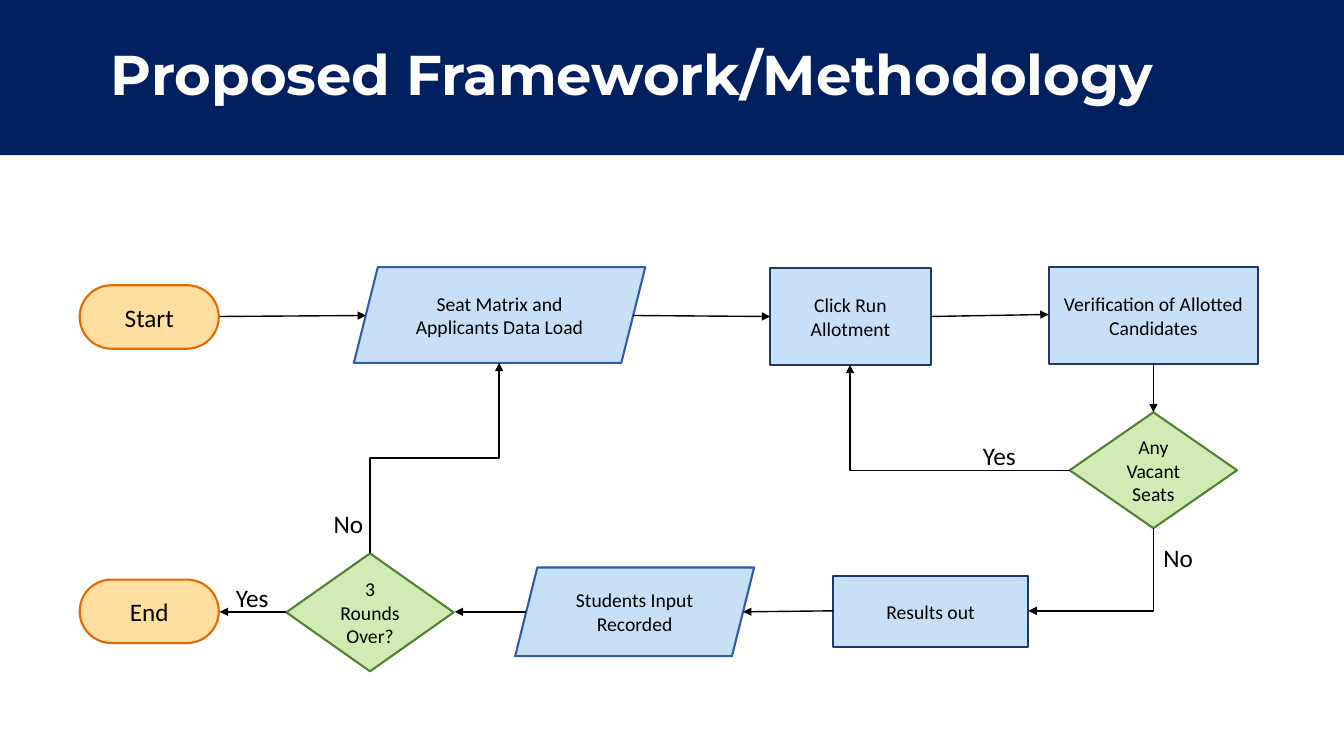
"""Build the slide with the seat allotment flowchart."""
from dataclasses import dataclass
from typing import Optional

from pptx import Presentation
from pptx.dml.color import RGBColor
from pptx.enum.shapes import MSO_CONNECTOR, MSO_SHAPE
from pptx.enum.text import MSO_ANCHOR, MSO_AUTO_SIZE, PP_ALIGN
from pptx.oxml.ns import qn
from pptx.oxml.xmlchemy import OxmlElement
from pptx.slide import Slide
from pptx.util import Inches, Pt

NAVY = RGBColor(0x00, 0x20, 0x60)
WHITE = RGBColor(0xFF, 0xFF, 0xFF)
BLACK = RGBColor(0x00, 0x00, 0x00)
SAND = RGBColor(0xFF, 0xDF, 0x9F)
ORANGE = RGBColor(0xE6, 0x68, 0x00)
SKY = RGBColor(0xC8, 0xDF, 0xF8)
BLUE = RGBColor(0x31, 0x5C, 0xA9)
INDIGO = RGBColor(0x1E, 0x38, 0x68)
LIME = RGBColor(0xD0, 0xEB, 0xB3)
GREEN = RGBColor(0x54, 0x82, 0x35)


@dataclass(frozen=True)
class Kind:
    form: MSO_SHAPE
    fill: RGBColor
    edge: RGBColor
    size: int = 14
    round: Optional[float] = None


@dataclass(frozen=True)
class Node:
    text: str
    kind: Kind
    left: float
    top: float
    width: float
    height: float


@dataclass(frozen=True)
class Arrow:
    x1: float
    y1: float
    x2: float
    y2: float
    bend: str = ""
    turn: int = 0


@dataclass(frozen=True)
class Label:
    text: str
    left: float
    top: float


END = Kind(MSO_SHAPE.ROUNDED_RECTANGLE, SAND, ORANGE, 18, 0.5)
DATA = Kind(MSO_SHAPE.PARALLELOGRAM, SKY, BLUE)
STEP = Kind(MSO_SHAPE.RECTANGLE, SKY, INDIGO)
TEST = Kind(MSO_SHAPE.FLOWCHART_DECISION, LIME, GREEN)

NODES = [
    Node("Start", END, 0.79, 2.83, 1.38, 0.63),
    Node("Seat Matrix and Applicants Data Load", DATA, 3.51, 2.65, 2.89, 0.95),
    Node("Click Run Allotment", STEP, 7.64, 2.66, 1.59, 0.96),
    Node("Verification of Allotted Candidates", STEP, 10.4, 2.65, 2.08, 0.96),
    Node("Any Vacant Seats", TEST, 10.61, 4.09, 1.66, 1.15),
    Node("Results out", STEP, 8.26, 5.71, 1.94, 0.71),
    Node("Students Input Recorded", DATA, 5.11, 5.63, 2.37, 0.88),
    Node("3 Rounds Over?", TEST, 2.84, 5.49, 1.66, 1.17),
    Node("End", END, 0.79, 5.75, 1.38, 0.63),
]
ARROWS = [
    Arrow(2.18, 3.14, 3.63, 3.13),
    Arrow(6.28, 3.13, 7.64, 3.14),
    Arrow(9.23, 3.14, 10.4, 3.12),
    Arrow(11.44, 3.6, 11.44, 4.09),
    Arrow(10.61, 4.67, 8.43, 3.62, "bentConnector2", 180),
    Arrow(11.44, 5.24, 10.2, 6.06, "bentConnector2", 90),
    Arrow(8.26, 6.06, 7.37, 6.07),
    Arrow(5.22, 6.07, 4.51, 6.07),
    Arrow(3.67, 5.49, 4.95, 3.6, "bentConnector3", 270),
    Arrow(2.84, 6.07, 2.18, 6.07),
]
LABELS = [
    Label("Yes", 9.65, 4.32),
    Label("No", 11.44, 5.33),
    Label("No", 3.21, 4.99),
    Label("Yes", 2.24, 5.73),
]


def write(shape, text: str, size: int, name: str = "Calibri",
          color: RGBColor = BLACK):
    """Put one styled paragraph in a shape and return it."""
    shape.text_frame.word_wrap = True
    para = shape.text_frame.paragraphs[0]
    para.text = text
    para.font.size = Pt(size)
    para.font.name = name
    para.font.color.rgb = color
    return para


def add_title(slide: Slide) -> None:
    """Draw the title band."""
    band = slide.shapes.add_shape(
        MSO_SHAPE.RECTANGLE, 0, 0, Inches(13.33), Inches(1.54))
    band.shadow.inherit = False
    band.fill.solid()
    band.fill.fore_color.rgb = NAVY
    band.line.fill.background()
    band.text_frame.margin_left = Inches(1.1)
    band.text_frame.vertical_anchor = MSO_ANCHOR.MIDDLE
    para = write(band, "Proposed Framework/Methodology", 40, "Montserrat", WHITE)
    para.font.bold = True
    para.alignment = PP_ALIGN.LEFT
    para.line_spacing = 0.9


def add_node(slide: Slide, node: Node) -> None:
    """Draw one flowchart node."""
    kind = node.kind
    shape = slide.shapes.add_shape(
        kind.form, Inches(node.left), Inches(node.top),
        Inches(node.width), Inches(node.height))
    if kind.round is not None:
        shape.adjustments[0] = kind.round
    shape.shadow.inherit = False
    shape.fill.solid()
    shape.fill.fore_color.rgb = kind.fill
    shape.line.color.rgb = kind.edge
    shape.line.width = Pt(1.5)
    shape.text_frame.vertical_anchor = MSO_ANCHOR.MIDDLE
    write(shape, node.text, kind.size).alignment = PP_ALIGN.CENTER


def add_arrow(slide: Slide, arrow: Arrow) -> None:
    """Draw a straight or a turned elbow arrow."""
    form = MSO_CONNECTOR.ELBOW if arrow.bend else MSO_CONNECTOR.STRAIGHT
    x1, y1, x2, y2 = arrow.x1, arrow.y1, arrow.x2, arrow.y2
    if arrow.bend:
        wide, high = abs(x2 - x1), abs(y2 - y1)
        if arrow.turn % 180:
            wide, high = high, wide
        mid_x, mid_y = (x1 + x2) / 2, (y1 + y2) / 2
        x1, x2 = mid_x - wide / 2, mid_x + wide / 2
        y1, y2 = mid_y - high / 2, mid_y + high / 2
    link = slide.shapes.add_connector(
        form, Inches(x1), Inches(y1), Inches(x2), Inches(y2))
    link.line.color.rgb = BLACK
    link.line.width = Pt(1)
    props = link._element.spPr
    if arrow.bend:
        props.find(qn("a:xfrm")).set("rot", str(arrow.turn * 60000))
        props.find(qn("a:prstGeom")).set("prst", arrow.bend)
    tip = OxmlElement("a:tailEnd")
    tip.set("type", "triangle")
    props.find(qn("a:ln")).append(tip)
    props.append(OxmlElement("a:effectLst"))


def add_label(slide: Slide, label: Label) -> None:
    """Write the answer beside a branch."""
    box = slide.shapes.add_textbox(
        Inches(label.left), Inches(label.top), Inches(0.6), Inches(0.4))
    write(box, label.text, 18)
    box.text_frame.auto_size = MSO_AUTO_SIZE.SHAPE_TO_FIT_TEXT


def main() -> None:
    """Build and save the slide."""
    deck = Presentation()
    deck.slide_width, deck.slide_height = Inches(13.33), Inches(7.5)
    slide = deck.slides.add_slide(deck.slide_layouts[6])
    add_title(slide)
    for node in NODES:
        add_node(slide, node)
    for arrow in ARROWS:
        add_arrow(slide, arrow)
    for label in LABELS:
        add_label(slide, label)
    deck.save("out.pptx")


if __name__ == "__main__":
    main()
